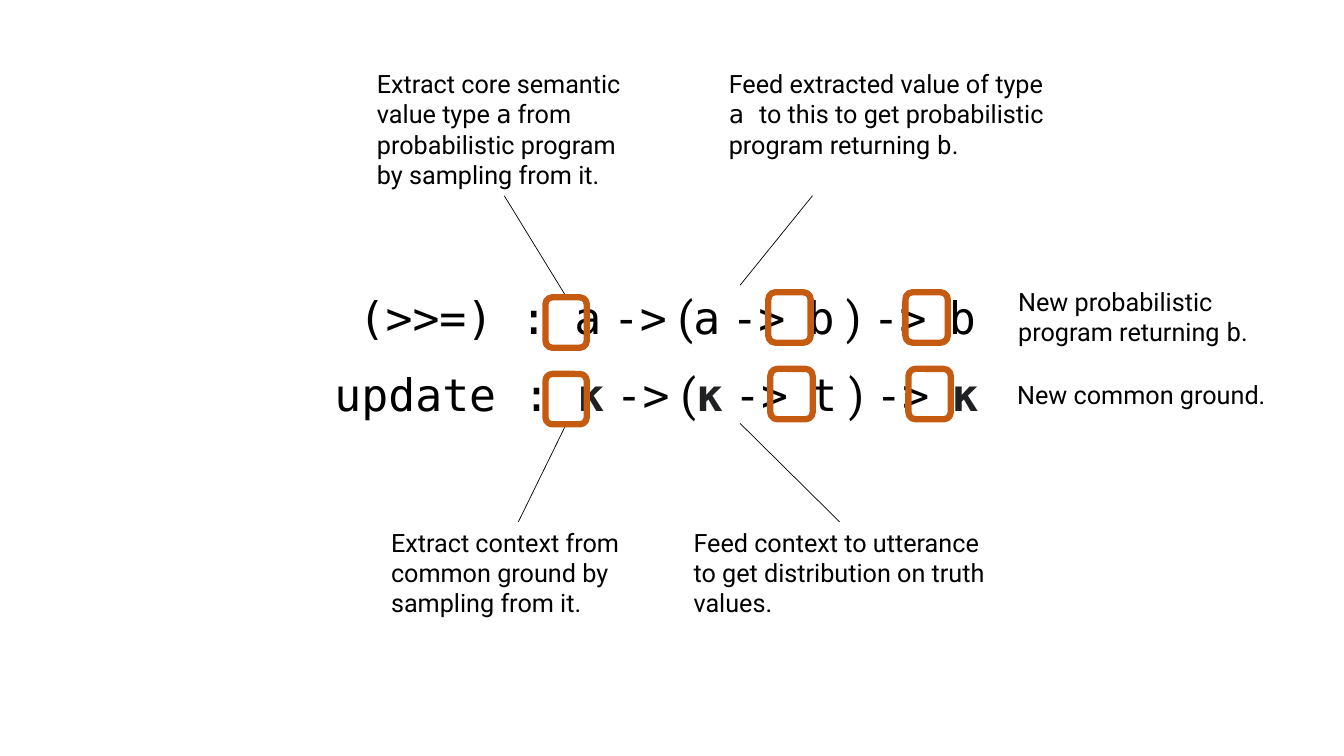
"""Build a slide that explains the types of bind and update."""
import pptx
import pptx.dml.color
import pptx.enum.shapes
import pptx.enum.text
import pptx.oxml
import pptx.util

Inches, Pt = pptx.util.Inches, pptx.util.Pt
RGB = pptx.dml.color.RGBColor
SHAPE = pptx.enum.shapes.MSO_SHAPE
BLACK, WHITE = RGB(0, 0, 0), RGB(255, 255, 255)
INK, RUST = RGB(0x20, 0x21, 0x22), RGB(0xC5, 0x5A, 0x11)

STYLES = {
    "text": ("Roboto", False, BLACK),
    "code": ("DejaVu Sans Mono", False, BLACK),
    "kappa": ("DejaVu Sans Mono", True, INK),
}
LINKS = [
    (5, 1.94, 5.62, 2.95),
    (8.06, 1.94, 7.34, 2.83),
    (5.14, 5.18, 5.62, 4.2),
    (8.33, 5.18, 7.34, 4.2),
]
NOTES = [
    (3.64, 0.63, 2.72, 1.31, [
        ("Extract core semantic value type ", "text"), ("a", "code"),
        (" from probabilistic program by sampling from it.", "text")]),
    (7.13, 0.63, 3.36, 1.31, [
        ("Feed extracted value of type ", "text"), ("a ", "code"),
        ("to this to get probabilistic program returning ", "text"),
        ("b", "code"), (".", "text")]),
    (3.78, 5.18, 2.72, 1.01, [
        ("Extract context from common ground by sampling from it.", "text")]),
    (6.78, 5.18, 3.11, 1.01, [
        ("Feed context to utterance to get distribution on truth values.",
         "text")]),
    (10, 2.79, 3.02, 0.71, [
        ("New probabilistic program returning ", "text"),
        ("b", "code"), (".", "text")]),
    (9.99, 3.71, 3.02, 0.4, [("New common ground.", "text")]),
]
TYPES = [
    (3.19, 2.83, " (>>=) : ", "a", "b", "b", "code", "code"),
    (2.95, 3.59, " update : ", "κ", "t", "κ", "kappa", "kappa"),
]
FRAMES = [
    (2.9, [(5.41, 0.05, 0.41), (7.62, 0, 0.42), (8.98, 0, 0.42)]),
    (3.66, [(5.41, 0.05, 0.41), (7.64, 0, 0.42), (9.01, 0, 0.42)]),
]


def type_runs(name, source, middle, result, first, last):
    arrow, gap = ("->", "code"), ("  ", "text")
    return [
        (name, "code"), (source, first), (" ", "text"), arrow,
        (" (", "text"), (source, first), (" ", "text"), arrow, gap,
        (middle, "code"), (" ) ", "text"), arrow, gap, (result, last)]


def add_link(slide, *ends):
    link = slide.shapes.add_connector(
        pptx.enum.shapes.MSO_CONNECTOR.STRAIGHT, *map(Inches, ends))
    link.line.color.rgb = BLACK
    link.line.width = Pt(0.5)
    props = link._element.spPr
    props.append(pptx.oxml.parse_xml(
        '<a:effectLst xmlns:a='
        '"http://schemas.openxmlformats.org/drawingml/2006/main"/>'))


def add_text(slide, place, runs, size):
    box = slide.shapes.add_textbox(*map(Inches, place))
    frame = box.text_frame
    frame.word_wrap = True
    frame.auto_size = pptx.enum.text.MSO_AUTO_SIZE.SHAPE_TO_FIT_TEXT
    para = frame.paragraphs[0]
    para.font.size = Pt(size)
    for words, style in runs:
        run = para.add_run()
        run.text = words
        run.font.name, run.font.bold, run.font.color.rgb = STYLES[style]
    return box


def add_frame(slide, left, top, width):
    frame = slide.shapes.add_shape(
        SHAPE.ROUNDED_RECTANGLE, *map(Inches, (left, top, width, 0.5)))
    frame.shadow.inherit = False
    frame.fill.background()
    frame.line.color.rgb = RUST
    frame.line.width = Pt(4.5)


def main():
    deck = pptx.Presentation()
    deck.slide_width, deck.slide_height = Inches(13.33), Inches(7.5)
    slide = deck.slides.add_slide(deck.slide_layouts[6])
    for ends in LINKS:
        add_link(slide, *ends)
    for *place, runs in NOTES:
        note = add_text(slide, place, runs, 18)
        note.fill.solid()
        note.fill.fore_color.rgb = WHITE
    for left, top, *parts in TYPES:
        add_text(slide, (left, top, 8.31, 0.64), type_runs(*parts), 32)
    for top, row in FRAMES:
        for left, drop, width in row:
            add_frame(slide, left, top + drop, width)
    deck.save("out.pptx")


if __name__ == "__main__":
    main()
